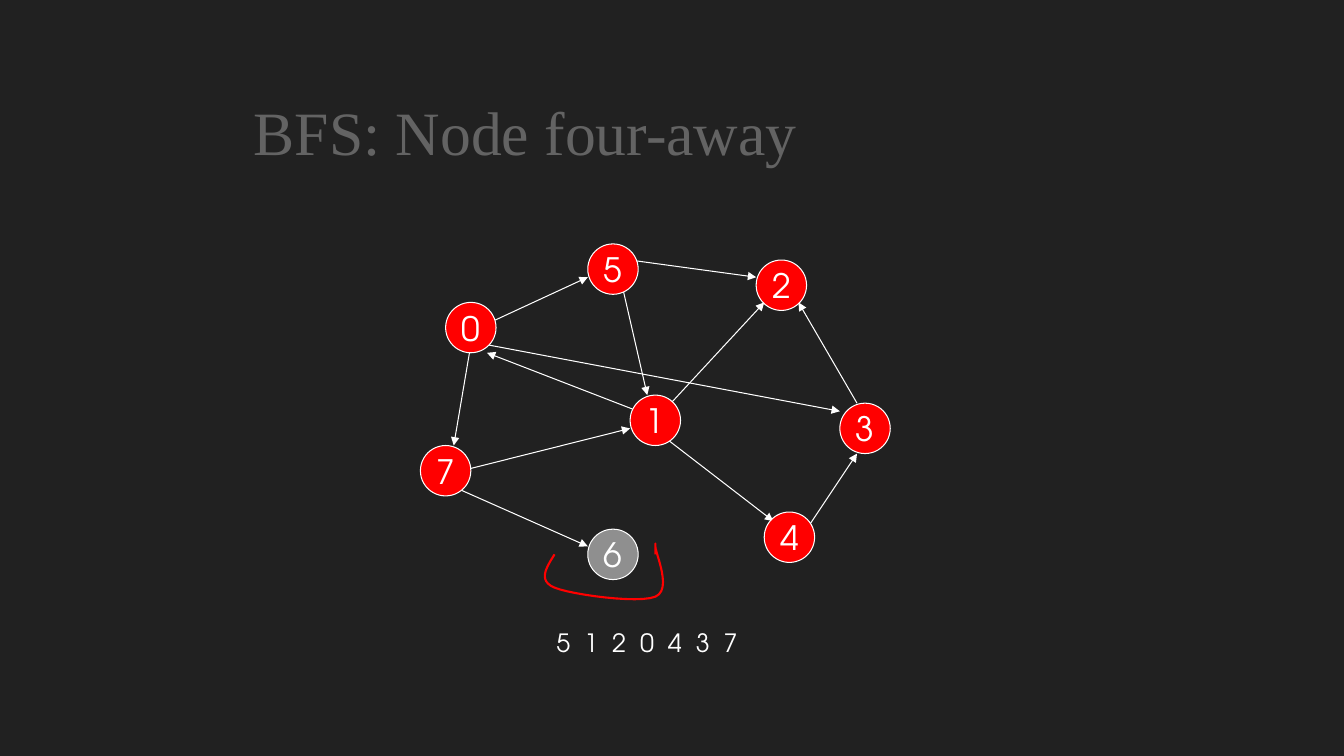
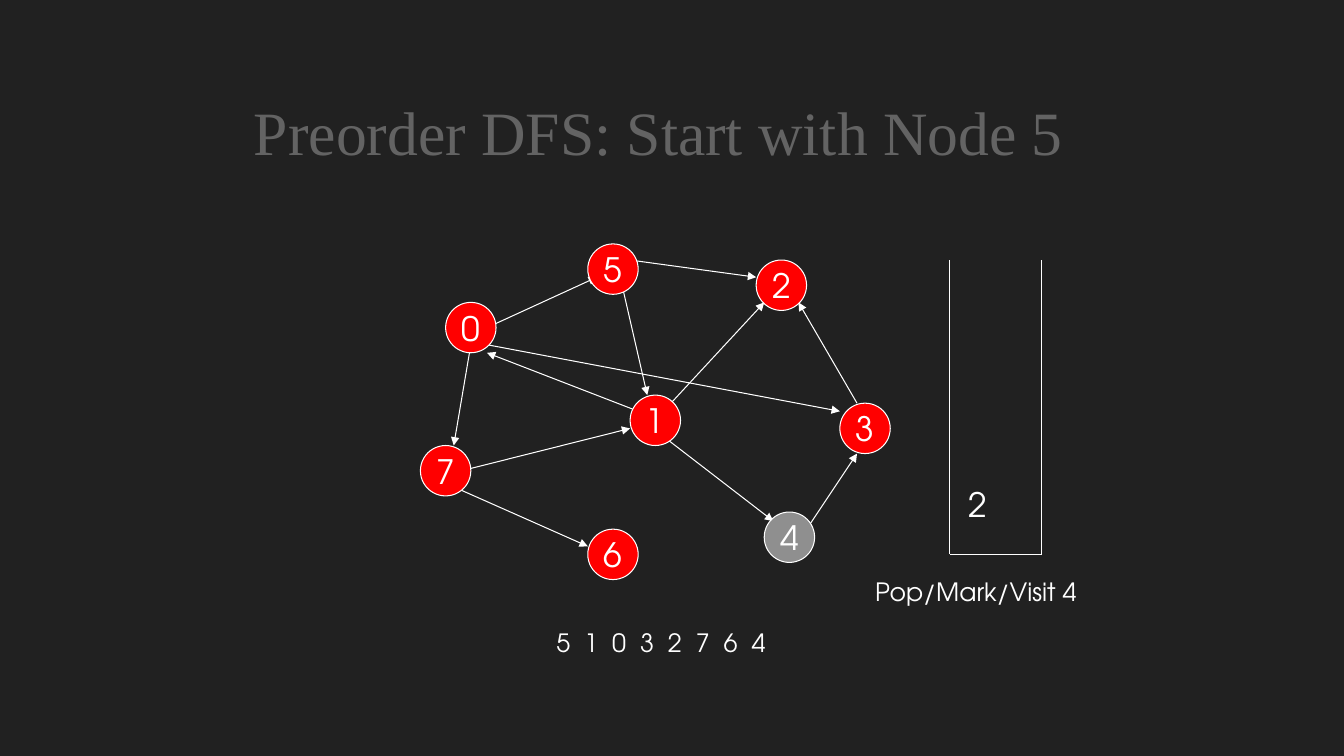
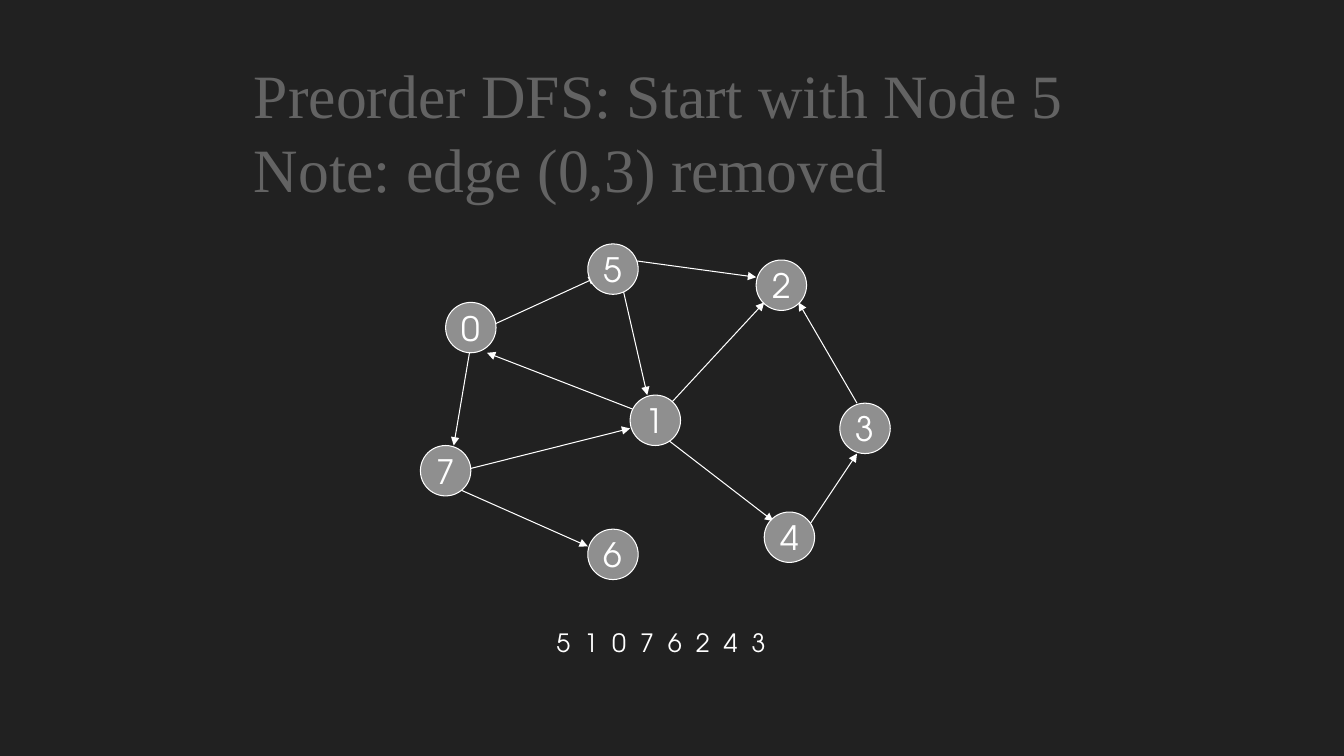
from pptx import Presentation
from pptx import util as u
from pptx.dml.color import RGBColor
from pptx.enum import shapes, text
from pptx.oxml.ns import qn
from lxml import etree

COLORS = {
    "background": "212121",
    "title": "636363",
    "white": "FFFFFF",
    "red": "FF0000",
    "gray": "8F8F8F",
}
TITLE_FONT = "Times New Roman"
BODY_FONT = "TeX Gyre Adventor"
NODE_SIZE = 0.5

# Left and top of each node's circle
NODES = {
    0: (4.42, 3), 7: (4.17, 4.42), 1: (6.25, 3.92), 5: (5.83, 2.42),
    4: (7.58, 5.08), 3: (8.33, 4), 2: (7.5, 2.58), 6: (5.83, 5.25),
}
# Start and end point of each directed edge
EDGES = {
    (1, 2): ((6.58, 4.08), (7.58, 3)),
    (5, 1): ((6.17, 2.83), (6.42, 3.92)),
    (7, 1): ((4.58, 4.67), (6.25, 4.25)),
    (7, 6): ((4.5, 4.83), (5.83, 5.42)),
    (0, 7): ((4.67, 3.42), (4.5, 4.42)),
    (1, 4): ((6.58, 4.33), (7.67, 5.17)),
    (4, 3): ((8, 5.25), (8.5, 4.5)),
    (3, 2): ((8.5, 4), (7.92, 3)),
    (5, 2): ((6.25, 2.58), (7.5, 2.75)),
    (0, 5): ((4.83, 3.25), (5.92, 2.75)),
    (0, 3): ((4.83, 3.42), (8.33, 4.08)),
    (1, 0): ((6.33, 4.08), (4.83, 3.5)),
}
# Bracket under the last node: a start point, then cubic curves
BRACKET_START = (5.5, 5.5)
BRACKET_CURVES = [
    ((5.42, 5.63), (5.33, 5.76), (5.5, 5.83)),
    ((5.67, 5.9), (6.33, 5.99), (6.5, 5.92)),
    ((6.67, 5.85), (6.5, 5.49), (6.5, 5.42)),
    ((6.5, 5.35), (6.5, 5.42), (6.5, 5.5)),
]


def rgb(name):
    return RGBColor.from_string(COLORS[name])


def write(frame, content, size=18, font=BODY_FONT, color="white", align=None,
          anchor=text.MSO_ANCHOR.TOP, wrap=True, line_height=None, tracking=None):
    """Fill a text frame; each line of content after the first follows a line break."""
    frame.word_wrap = wrap
    frame.vertical_anchor = anchor
    paragraph = frame.paragraphs[0]
    paragraph.alignment = align
    if line_height:
        paragraph.line_spacing = u.Pt(line_height)
    for i, line in enumerate(content.splitlines()):
        if i:
            paragraph.add_line_break()
        run = paragraph.add_run()
        run.text = line
        run.font.size = u.Pt(size)
        run.font.name = font
        run.font.color.rgb = rgb(color)
        if tracking:
            run.font._element.set("spc", str(round(tracking * 100)))


def add_text(slide, box, content, **style):
    frame = slide.shapes.add_textbox(*map(u.Inches, box)).text_frame
    write(frame, content, **style)
    return frame


def add_title(slide, title):
    add_text(slide, (2.42, 0.67, 8.5, 1.25), title, size=44, font=TITLE_FONT,
             color="title", anchor=text.MSO_ANCHOR.MIDDLE, line_height=52.8)


def add_line(slide, start, end, arrow=False):
    line = slide.shapes.add_connector(
        shapes.MSO_CONNECTOR.STRAIGHT, *map(u.Inches, (*start, *end)))
    line.line.color.rgb = rgb("white")
    line.line.width = u.Pt(0.75)
    properties = line._element.spPr
    if arrow:
        etree.SubElement(properties.find(qn("a:ln")), qn("a:tailEnd"), type="triangle")
    etree.SubElement(properties, qn("a:effectLst"))


def add_node(slide, label, fill):
    left, top = NODES[label]
    node = slide.shapes.add_shape(
        shapes.MSO_SHAPE.OVAL, *map(u.Inches, (left, top, NODE_SIZE, NODE_SIZE)))
    node.shadow.inherit = False
    node.fill.solid()
    node.fill.fore_color.rgb = rgb(fill)
    node.line.color.rgb = rgb("white")
    node.line.width = u.Pt(0.75)
    write(node.text_frame, str(label), size=24, align=text.PP_ALIGN.CENTER,
          anchor=text.MSO_ANCHOR.MIDDLE, wrap=False)


def add_graph(slide, gray_nodes, edges=EDGES):
    for start, end in edges.values():
        add_line(slide, start, end, arrow=True)
    for label in NODES:
        add_node(slide, label, "gray" if label in gray_nodes else "red")


def add_visit_order(slide, order):
    add_text(slide, (5.42, 6.17, 2.5, 0.4), order, tracking=2.5)


def cubic_point(points, t):
    weights = ((1 - t) ** 3, 3 * t * (1 - t) ** 2, 3 * t ** 2 * (1 - t), t ** 3)
    return tuple(sum(w * p[axis] for w, p in zip(weights, points)) for axis in (0, 1))


def add_bracket(slide, steps=12):
    outline, start = [BRACKET_START], BRACKET_START
    for curve in BRACKET_CURVES:
        outline += [cubic_point((start, *curve), i / steps) for i in range(1, steps + 1)]
        start = curve[-1]
    first, *others = [(u.Inches(x), u.Inches(y)) for x, y in outline]
    builder = slide.shapes.build_freeform(*first)
    builder.add_line_segments(others, close=False)
    bracket = builder.convert_to_shape()
    bracket.shadow.inherit = False
    bracket.fill.background()
    bracket.line.color.rgb = rgb("red")
    bracket.line.width = u.Pt(1.5)


def add_stack(slide, item, action):
    left, right, top, bottom = 9.42, 10.33, 2.58, 5.5
    add_line(slide, (left, top), (left, bottom))
    add_line(slide, (right, top), (right, bottom))
    add_line(slide, (left, bottom), (right, bottom))
    content = add_text(slide, (left, 1.92, 0.92, 3.53), item, size=24,
                       anchor=text.MSO_ANCHOR.BOTTOM)
    content.margin_left = u.Inches(0.19)
    content.margin_bottom = u.Inches(0.25)
    add_text(slide, (8.58, 5.67, 2.42, 0.4), action)


def main():
    deck = Presentation()
    deck.slide_width, deck.slide_height = u.Inches(13.33), u.Inches(7.5)
    background = deck.slide_master.background.fill
    background.solid()
    background.fore_color.rgb = rgb("background")
    blank = deck.slide_layouts[6]

    bfs = deck.slides.add_slide(blank)
    add_title(bfs, "BFS: Node four-away")
    add_graph(bfs, {6}, {**EDGES, (0, 5): ((4.75, 3.25), (5.83, 2.75))})
    add_visit_order(bfs, "5 1 2 0 4 3 7")
    add_bracket(bfs)

    dfs = deck.slides.add_slide(blank)
    add_title(dfs, "Preorder DFS: Start with Node 5")
    add_graph(dfs, {4})
    add_visit_order(dfs, "5 1 0 3 2 7 6 4")
    add_stack(dfs, "2", "Pop/Mark/Visit 4")

    removed = deck.slides.add_slide(blank)
    add_title(removed, """Preorder DFS: Start with Node 5
Note: edge (0,3) removed""")
    add_graph(removed, set(NODES),
              {edge: ends for edge, ends in EDGES.items() if edge != (0, 3)})
    add_visit_order(removed, "5 1 0 7 6 2 4 3")

    deck.save("out.pptx")


if __name__ == "__main__":
    main()
